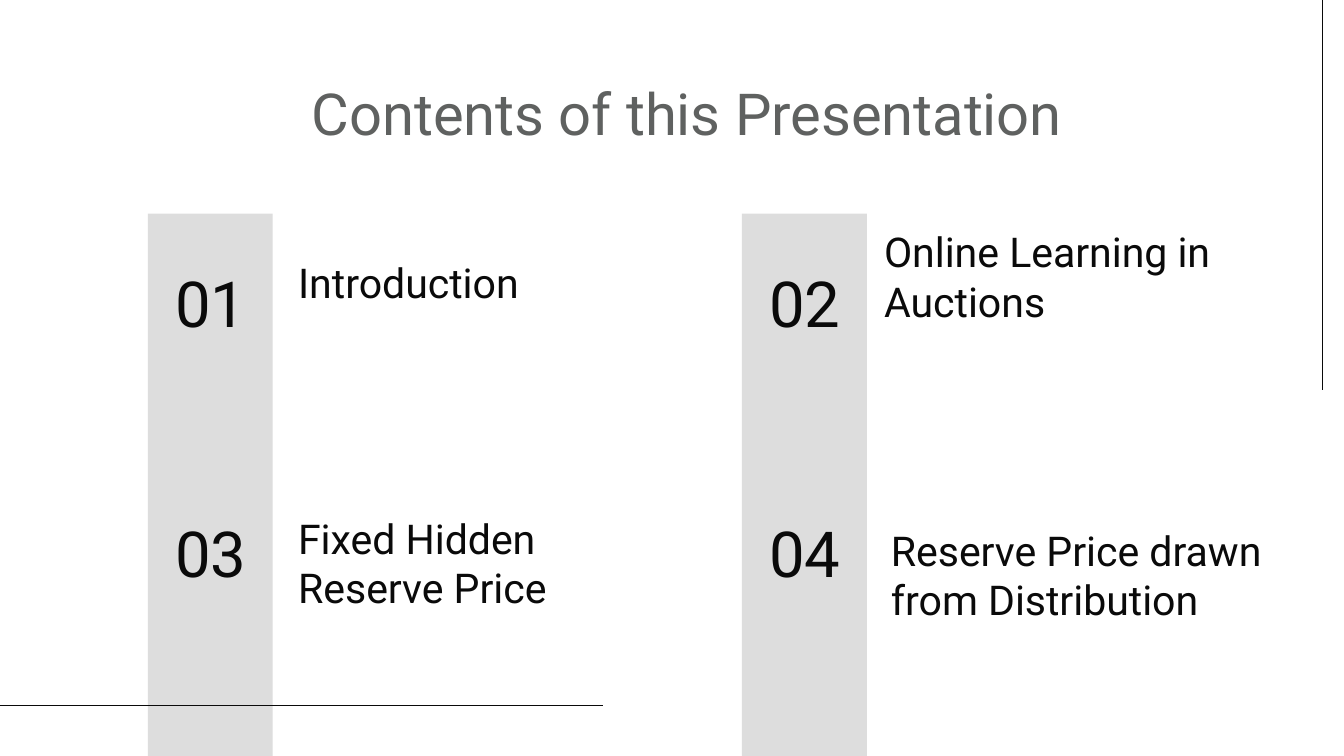
from pptx import Presentation
from pptx.dml.color import RGBColor
from pptx.enum.shapes import MSO_CONNECTOR, MSO_SHAPE
from pptx.enum.text import MSO_ANCHOR, MSO_AUTO_SIZE, PP_ALIGN
from pptx.oxml.ns import qn
from pptx.util import Inches, Pt

COLORS = {"ink": "0A0A0A", "title": "5F6160", "band": "DDDDDD", "paper": "FFFFFF"}
FONT = "Roboto"
BAND_LEFTS = (1.1, 5.52)
NUMBER_TOPS = (1.62, 3.48)
# Topic text with its left, top and width, in reading order
TOPICS = [
    ("Introduction", 2.12, 1.5, 2.5),
    ("Online Learning in Auctions", 6.48, 1.64, 3.54),
    ("Fixed Hidden\nReserve Price", 2.12, 3.77, 2.5),
    ("Reserve Price drawn from Distribution", 6.53, 3.86, 3.15),
]


def color(name):
    return RGBColor.from_string(COLORS[name])


def set_text(box, text, size, ink="ink", align=PP_ALIGN.LEFT, anchor=MSO_ANCHOR.TOP):
    frame = box.text_frame
    frame.text = text
    frame.word_wrap = True
    frame.auto_size = MSO_AUTO_SIZE.NONE
    frame.vertical_anchor = anchor
    frame.margin_left = frame.margin_right = Inches(0.1)
    frame.margin_top = frame.margin_bottom = Inches(0.1)
    for para in frame.paragraphs:
        para.alignment = align
        para.line_spacing = 1.0
        para.space_before = Pt(0)
        for span in para.runs:
            span.font.name = FONT
            span.font.size = Pt(size)
            span.font.color.rgb = color(ink)


def add_title(page, text):
    title = page.shapes.title
    title.left, title.top = Inches(0.89), Inches(0.48)
    title.width, title.height = Inches(8.44), Inches(0.6)
    set_text(title, text, 31, "title", PP_ALIGN.CENTER)


def add_band(page, left):
    band = page.shapes.add_shape(
        MSO_SHAPE.RECTANGLE, Inches(left), Inches(1.59), Inches(0.93), Inches(4.04))
    band.shadow.inherit = False
    band.fill.solid()
    band.fill.fore_color.rgb = color("band")
    band.line.fill.background()


def add_line(page, x1, y1, x2, y2):
    line = page.shapes.add_connector(
        MSO_CONNECTOR.STRAIGHT, Inches(x1), Inches(y1), Inches(x2), Inches(y2))
    line.line.color.rgb = color("ink")
    line.line.width = Pt(0.75)
    properties = line._element.spPr
    properties.append(properties.makeelement(qn("a:effectLst"), {}))


def add_number(page, number, left, top):
    box = page.shapes.add_textbox(Inches(left), Inches(top), Inches(0.96), Inches(1.26))
    set_text(box, f"{number:02d}", 34, align=PP_ALIGN.CENTER, anchor=MSO_ANCHOR.MIDDLE)


def add_topic(page, text, left, top, width):
    box = page.shapes.add_textbox(Inches(left), Inches(top), Inches(width), Inches(0.88))
    set_text(box, text, 22, anchor=MSO_ANCHOR.BOTTOM)


def main():
    deck = Presentation()
    deck.slide_width = Inches(10)
    deck.slide_height = Inches(10 * 9 / 16)
    page = deck.slides.add_slide(deck.slide_layouts[5])
    page.background.fill.solid()
    page.background.fill.fore_color.rgb = color("paper")

    add_title(page, "Contents of this Presentation")
    add_line(page, 9.84, 2.9, 9.84, 0)
    for left in reversed(BAND_LEFTS):
        add_band(page, left)
    add_line(page, 0, 5.25, 4.49, 5.25)
    for index, topic in enumerate(TOPICS):
        row, column = divmod(index, 2)
        add_number(page, index + 1, BAND_LEFTS[column] - 0.01, NUMBER_TOPS[row])
        add_topic(page, *topic)

    deck.save("out.pptx")


if __name__ == "__main__":
    main()
